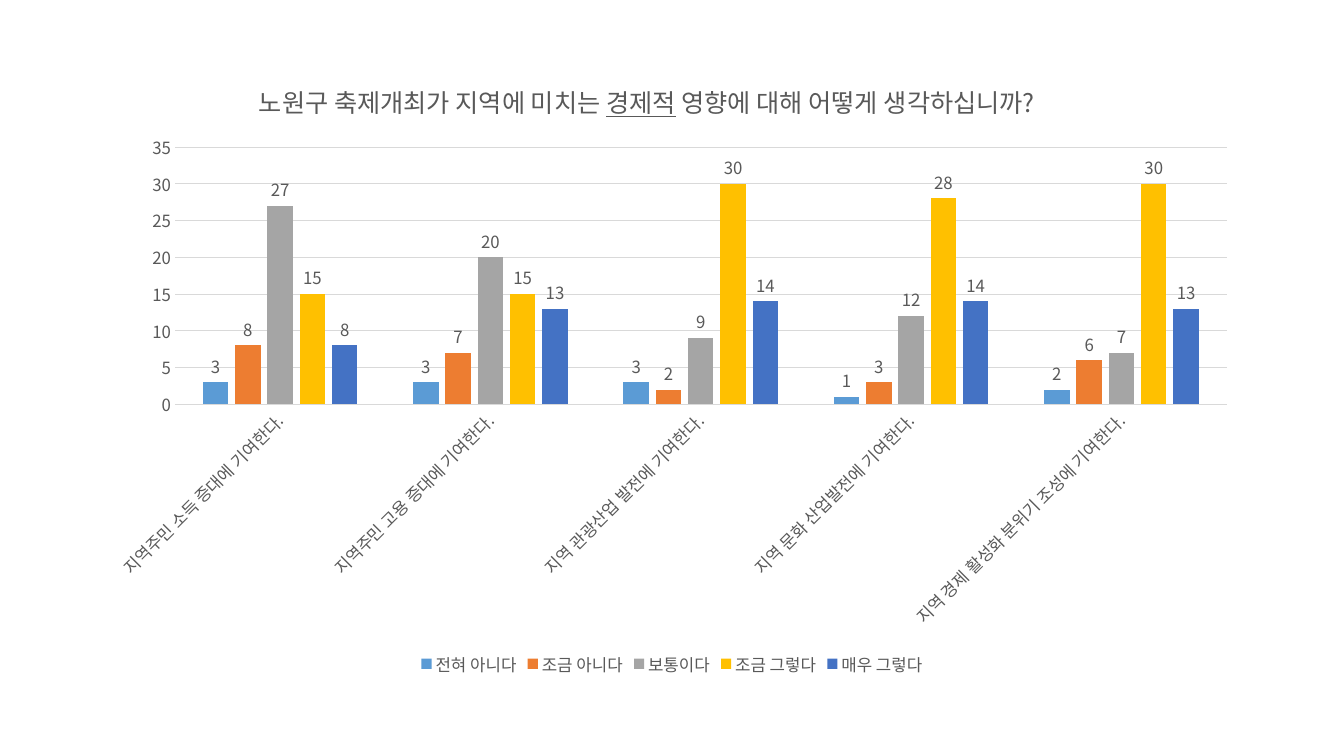
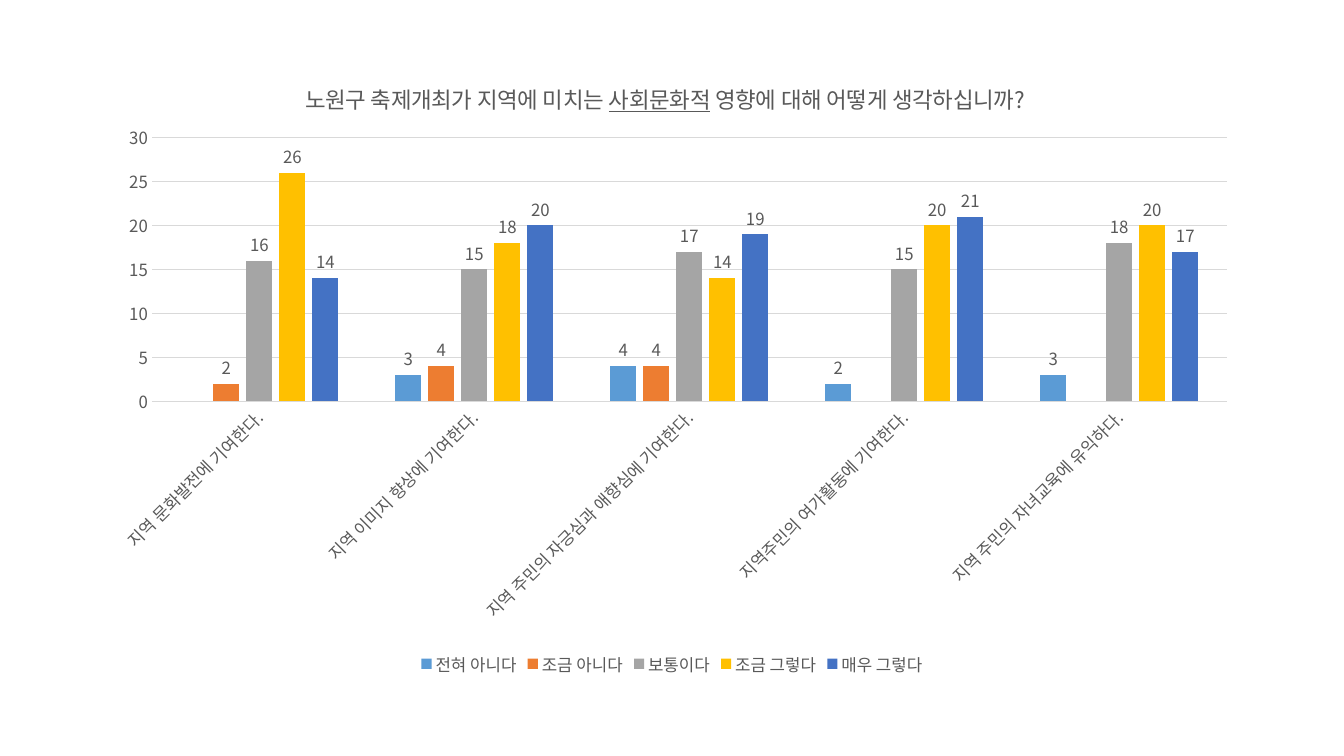
from lxml.etree import SubElement
from pptx import Presentation
from pptx.chart.data import CategoryChartData
from pptx.dml.color import RGBColor
from pptx.enum.chart import (XL_CHART_TYPE as ChartType, XL_LABEL_POSITION as LabelPos,
                             XL_LEGEND_POSITION as LegendPos, XL_TICK_MARK as Tick)
from pptx.oxml import parse_xml
from pptx.oxml.ns import nsdecls, qn
from pptx.util import Inches, Pt

FONT = "Noto Sans CJK KR"
TEXT = RGBColor(0x59, 0x59, 0x59)
GRID = RGBColor(0xD9, 0xD9, 0xD9)
ANSWERS = {
    "전혀 아니다": RGBColor(0x5B, 0x9B, 0xD5),
    "조금 아니다": RGBColor(0xED, 0x7D, 0x31),
    "보통이다": RGBColor(0xA5, 0xA5, 0xA5),
    "조금 그렇다": RGBColor(0xFF, 0xC0, 0x00),
    "매우 그렇다": RGBColor(0x44, 0x72, 0xC4),
}
CHART_BOX = (0.07, 0.07, 0.86, 0.83)

SURVEYS = [
    dict(topic="경제적", size=18, top=35, title_at=(0.14, 0.04),
         plot=(0.07, 0.15, 0.91, 0.41),
         cats=["지역주민 소득 증대에 기여한다.", "지역주민 고용 증대에 기여한다.",
               "지역 관광산업 발전에 기여한다.", "지역 문화 산업발전에 기여한다.",
               "지역 경제 활성화 분위기 조성에 기여한다."],
         vals=[(3, 3, 3, 1, 2), (8, 7, 2, 3, 6), (27, 20, 9, 12, 7),
               (15, 15, 30, 28, 30), (8, 13, 14, 14, 13)]),
    dict(topic="사회문화적", size=16, top=30, title_at=(0.18, 0.04),
         plot=(0.05, 0.135, 0.93, 0.42),
         cats=["지역 문화발전에 기여한다.", "지역 이미지 향상에 기여한다.",
               "지역 주민의 자긍심과 애향심에 기여한다.", "지역주민의 여가활동에 기여한다.",
               "지역 주민의 자녀교육에 유익하다."],
         vals=[(None, 3, 4, 2, 3), (2, 4, 4, None, None), (16, 15, 17, 15, 18),
               (26, 18, 14, 20, 20), (14, 20, 19, 21, 17)]),
]


def set_font(font, size):
    font.size = Pt(size)
    font.bold = False
    font.name = FONT
    font.color.rgb = TEXT


def set_layout(parent, values, inner=False):
    for old in parent.findall(qn("c:layout")):
        parent.remove(old)
    layout = parse_xml(f"<c:layout {nsdecls('c')}/>")
    manual = SubElement(layout, qn("c:manualLayout"))
    items = [("layoutTarget", "inner")] if inner else []
    items += [("xMode", "edge"), ("yMode", "edge"), *zip("xywh", values)]
    for tag, value in items:
        SubElement(manual, qn(f"c:{tag}")).set("val", str(value))
    tx = parent.find(qn("c:tx"))
    if tx is None:
        parent.insert(0, layout)
    else:
        tx.addnext(layout)


def add_title(chart, survey):
    p = chart.chart_title.text_frame.paragraphs[0]
    for text, underline in (("노원구 축제개최가 지역에 미치는 ", False),
                            (survey["topic"], True),
                            (" 영향에 대해 어떻게 생각하십니까?", False)):
        r = p.add_run()
        r.text = text
        set_font(r.font, survey["size"])
        r.font.underline = underline
    chart.chart_title.include_in_layout = False
    set_layout(chart.chart_title._element, survey["title_at"])


def style_axes(chart, top):
    cat, val = chart.category_axis, chart.value_axis
    for axis in (cat, val):
        axis.major_tick_mark = axis.minor_tick_mark = Tick.NONE
        set_font(axis.tick_labels.font, 12)
    cat.format.line.color.rgb = GRID
    cat.format.line.width = Pt(0.75)
    cat._element.find(qn("c:txPr")).find(qn("a:bodyPr")).set("rot", "-2700000")
    val.minimum_scale, val.maximum_scale, val.major_unit = 0, top, 5
    val.format.line.fill.background()
    val.major_gridlines.format.line.color.rgb = GRID
    val.major_gridlines.format.line.width = Pt(0.75)


def style_columns(plot):
    plot.gap_width, plot.overlap, plot.vary_by_categories = 219, -27, False
    for series, color in zip(plot.series, ANSWERS.values()):
        series.format.fill.solid()
        series.format.fill.fore_color.rgb = color
        series.invert_if_negative = False
        labels = series.data_labels
        labels.show_value = True
        labels.position = LabelPos.OUTSIDE_END
        set_font(labels.font, 12)


def add_survey(s, box, survey):
    data = CategoryChartData()
    data.categories = survey["cats"]
    for name, vals in zip(ANSWERS, survey["vals"]):
        data.add_series(name, vals)
    chart = s.shapes.add_chart(ChartType.COLUMN_CLUSTERED, *box, data).chart
    set_font(chart.font, 12)
    add_title(chart, survey)
    style_axes(chart, survey["top"])
    style_columns(chart.plots[0])
    chart.has_legend = True
    chart.legend.position = LegendPos.BOTTOM
    chart.legend.include_in_layout = False
    set_font(chart.legend.font, 12)
    plot_area = chart._chartSpace.find(qn("c:chart")).find(qn("c:plotArea"))
    set_layout(plot_area, survey["plot"], inner=True)
    for latin in list(chart._chartSpace.iter(qn("a:latin"))):
        ea = parse_xml(f"<a:ea {nsdecls('a')}/>")
        ea.set("typeface", FONT)
        latin.addnext(ea)


def main():
    prs = Presentation()
    prs.slide_width, prs.slide_height = Inches(13.33), Inches(7.5)
    sides = (prs.slide_width, prs.slide_height) * 2
    box = [int(share * side) for share, side in zip(CHART_BOX, sides)]
    for survey in SURVEYS:
        add_survey(prs.slides.add_slide(prs.slide_layouts[6]), box, survey)
    prs.save("out.pptx")


if __name__ == "__main__":
    main()
